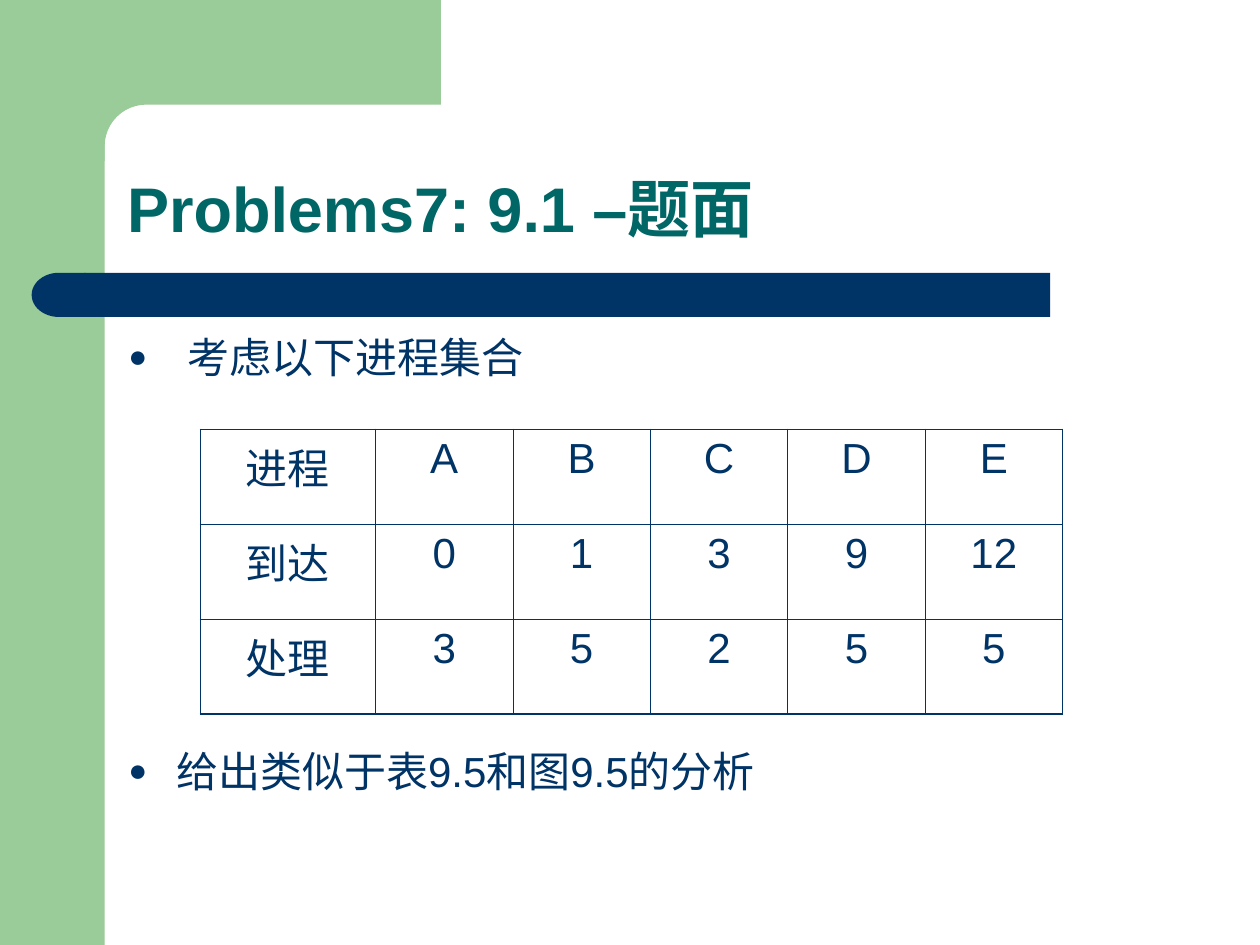
from math import cos, pi, sin

from lxml.etree import SubElement
from pptx import Presentation
from pptx.dml.color import RGBColor
from pptx.enum.shapes import MSO_SHAPE
from pptx.enum.text import MSO_ANCHOR, PP_ALIGN
from pptx.oxml.ns import qn
from pptx.util import Cm, Pt

GREEN = RGBColor(0x99, 0xCC, 0x99)
NAVY = RGBColor(0x00, 0x33, 0x66)
TEAL = RGBColor(0x00, 0x66, 0x66)


def paint(shape, color):
    shape.shadow.inherit = False
    shape.fill.solid()
    shape.fill.fore_color.rgb = color
    shape.line.fill.background()


def style_text(paragraph, size, color, bold=False):
    for run in paragraph.runs:
        run.font.name = "Arial"
        run.font.size = Pt(size)
        run.font.bold = bold
        run.font.color.rgb = color


presentation = Presentation()
presentation.slide_width = Cm(25.4)
presentation.slide_height = Cm(19.05)
slide = presentation.slides.add_slide(presentation.slide_layouts[5])
shapes = slide.shapes

# Green side band, and top band with a rounded inner corner
side_band = shapes.add_shape(MSO_SHAPE.RECTANGLE, 0, 0, Cm(2.11), Cm(19.05))
paint(side_band, GREEN)

corner_center, corner_radius = 2.95, 0.84
corner_angles = [pi / 2 * step / 12 for step in range(13)]
corner = [
    (Cm(corner_center - corner_radius * sin(angle)),
     Cm(corner_center - corner_radius * cos(angle)))
    for angle in corner_angles
]
builder = shapes.build_freeform(Cm(8.89), 0)
builder.add_line_segments(
    [(Cm(8.89), Cm(2.11)), *corner,
     (Cm(2.11), Cm(3.25)), (Cm(1.27), Cm(3.25)), (Cm(1.27), 0)],
    close=True,
)
paint(builder.convert_to_shape(), GREEN)

# Navy bar under the title, with a rounded left end
bar = shapes.add_shape(MSO_SHAPE.RECTANGLE, Cm(1.7), Cm(5.5), Cm(19.47), Cm(0.89))
paint(bar, NAVY)
bar_end = shapes.add_shape(
    MSO_SHAPE.FLOWCHART_DELAY, Cm(0.64), Cm(5.5), Cm(1.09), Cm(0.89))
bar_end._element.spPr.find(qn("a:xfrm")).set("flipH", "1")
paint(bar_end, NAVY)

# Title
title = shapes.title
title.left, title.top, title.width, title.height = Cm(2.31), Cm(2.31), Cm(21.62), Cm(2.77)
title.text_frame.text = "Problems7: 9.1 –题面"
title.text_frame.vertical_anchor = MSO_ANCHOR.BOTTOM
title_paragraph = title.text_frame.paragraphs[0]
title_paragraph.alignment = PP_ALIGN.LEFT
title_paragraph.line_spacing = 0.9
style_text(title_paragraph, 36, TEAL, bold=True)

# Bullets above and below the table: text, indent in cm, space before in points
bullets = [
    ("考虑以下进程集合", 1.19, 0),
    ("给出类似于表9.5和图9.5的分析", 0.96, 208),
]
body = shapes.add_textbox(Cm(2.34), Cm(6.55), Cm(18.14), Cm(10.34))
body.text_frame.word_wrap = True
body.text_frame.text = "\n".join(text for text, _, _ in bullets)
for paragraph, (_, indent, space_before) in zip(body.text_frame.paragraphs, bullets):
    paragraph.space_before = Pt(space_before)
    properties = paragraph._p.get_or_add_pPr()
    properties.set("marL", str(Cm(indent)))
    properties.set("indent", str(-Cm(indent)))
    bullet_color = SubElement(properties, qn("a:buClr"))
    SubElement(bullet_color, qn("a:srgbClr"), val=str(NAVY))
    SubElement(properties, qn("a:buSzPct"), val="75000")
    SubElement(properties, qn("a:buFont"), typeface="Arial")
    SubElement(properties, qn("a:buChar"), char="●")
    style_text(paragraph, 24, NAVY)

# Process table: thin inner lines, thicker outer frame
rows = [
    ["进程", "A", "B", "C", "D", "E"],
    ["到达", "0", "1", "3", "9", "12"],
    ["处理", "3", "5", "2", "5", "5"],
]
last_row, last_column = len(rows) - 1, len(rows[0]) - 1
table = shapes.add_table(
    len(rows), len(rows[0]), Cm(4.04), Cm(8.66), Cm(17.38), Cm(5.73)).table
table.first_row = False
table.horz_banding = False
for index, column in enumerate(table.columns):
    column.width = Cm(2.77 if index else 3.53)
for row in table.rows:
    row.height = Cm(1.91)

for row_index, values in enumerate(rows):
    for column_index, value in enumerate(values):
        cell = table.cell(row_index, column_index)
        cell.text_frame.text = value
        paragraph = cell.text_frame.paragraphs[0]
        paragraph.alignment = PP_ALIGN.CENTER
        style_text(paragraph, 24, NAVY)
        outer_sides = {
            "a:lnL": column_index == 0,
            "a:lnR": column_index == last_column,
            "a:lnT": row_index == 0,
            "a:lnB": row_index == last_row,
        }
        cell_properties = cell._tc.get_or_add_tcPr()
        for side, is_outer in outer_sides.items():
            width = Pt(1.08 if is_outer else 0.45)
            border = SubElement(cell_properties, qn(side), w=str(width))
            border_fill = SubElement(border, qn("a:solidFill"))
            SubElement(border_fill, qn("a:srgbClr"), val=str(NAVY))
        cell.fill.background()

presentation.save("out.pptx")
